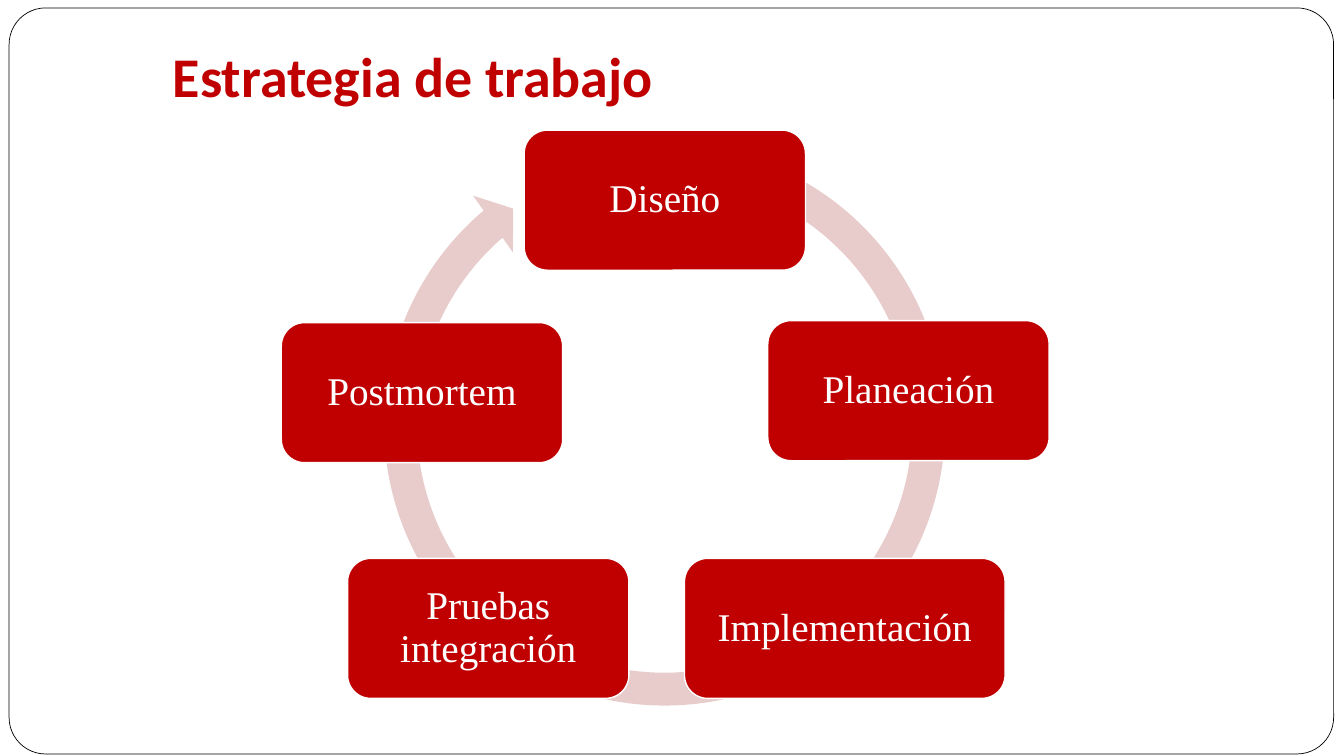
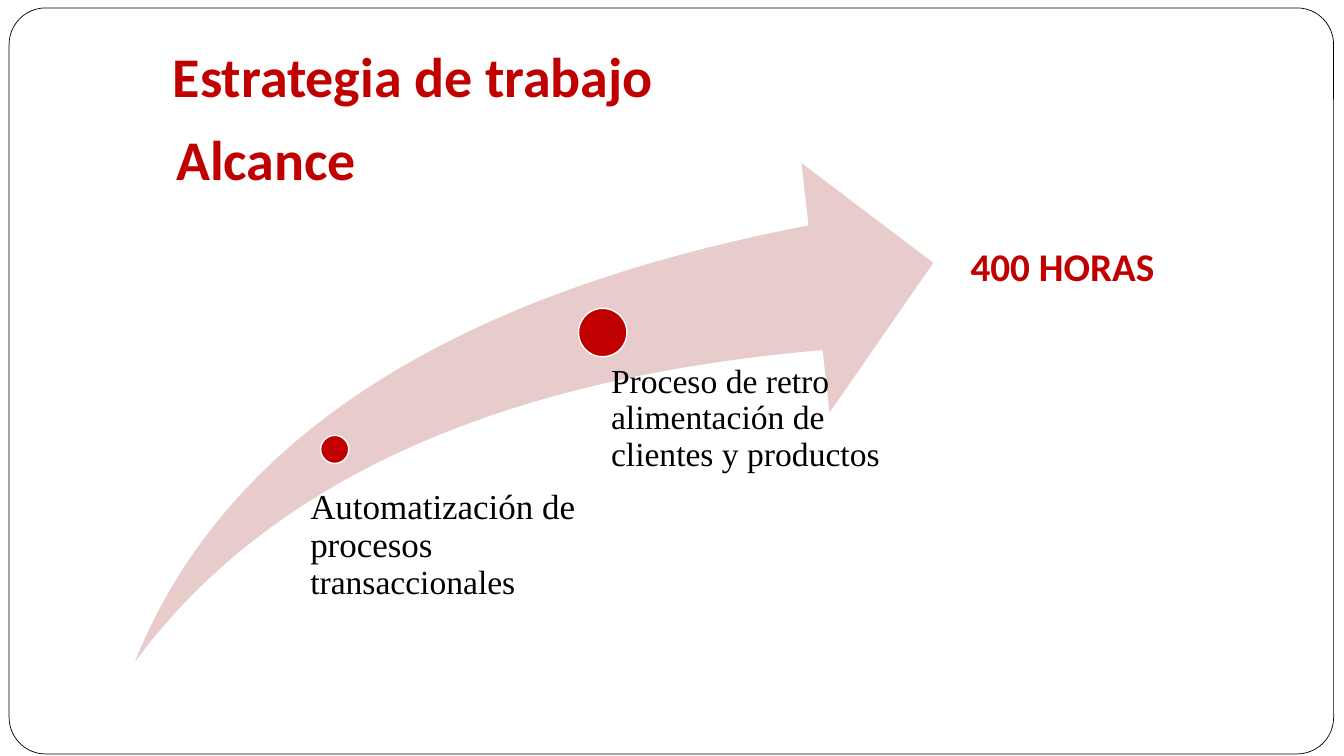
"""Builds two slides on the work strategy: its cycle of phases and its scope."""
from pptx import Presentation
from pptx.dml.color import RGBColor
from pptx.enum.shapes import MSO_SHAPE as Preset
from pptx.enum.text import MSO_ANCHOR as Anchor, PP_ALIGN as Align
from pptx.util import Cm, Pt

RED = RGBColor(0xC0, 0x00, 0x00)
PINK = RGBColor(0xE8, 0xCC, 0xCC)
WHITE = RGBColor(0xFF, 0xFF, 0xFF)
BLACK = RGBColor(0x00, 0x00, 0x00)
HEAD_FONT, BODY_FONT = "Calibri", "Times New Roman"

TITLE = "Estrategia de trabajo"
TITLE_AREA = (4.11, 0.28, 27.74, 2.72)
SUBTITLE = "Alcance"
SUBTITLE_AREA = (4.19, 0.2, 27.84, 4.88)
HOURS = "400 HORAS"
HOURS_AREA = (24.21, 5.97, 5.59, 1.45)
FRAME_AREA = (0.23, 0.2, 33.38, 18.8)

CYCLE_AREA = (9.22, 3.18, 15.06, 15.06)
CYCLE_ADJUST = (0.055, 3.307, 137.698, 173.897, 0.058)
PHASE_HEIGHT, PHASE_INSET = 3.53, 0.3
PHASES = [
    ("Diseño", 13.21, 3.28, 7.09),
    ("Planeación", 19.35, 8.08, 7.09),
    ("Implementación", 17.25, 14.07, 8.08),
    ("Pruebas integración", 8.76, 14.07, 7.09),
    ("Postmortem", 7.09, 8.13, 7.09),
]

SWOOSH_AREA = (3.4, 4.11, 20.12, 12.57)
SWOOSH_ADJUST = (0.25, 0.25)
MILESTONES = [
    {
        "dot": (8.08, 10.97, 0.71),
        "area": (7.44, 12.34, 8.53, 3.33),
        "inset": 0.38,
        "runs": [("Automatización de procesos ", 25), ("transaccionales", 24)],
    },
    {
        "dot": (14.58, 7.77, 1.22),
        "area": (14.76, 9.19, 8.4, 4.75),
        "inset": 0.64,
        "runs": [("Proceso de retro alimentación de clientes y productos", 24)],
    },
]


def add_preset(page, preset, area, fill, line=None, width=1, adjust=()):
    shape = page.shapes.add_shape(preset, *map(Cm, area))
    shape.shadow.inherit = False
    shape.fill.solid()
    shape.fill.fore_color.rgb = fill
    if line is None:
        shape.line.fill.background()
    else:
        shape.line.color.rgb = line
        shape.line.width = Pt(width)
    for index, value in enumerate(adjust):
        shape.adjustments[index] = value
    return shape


def write(shape, runs, font, color, insets, bold=False, anchor=Anchor.TOP,
          align=Align.LEFT, spacing=1.0):
    frame = shape.text_frame
    frame.word_wrap = True
    frame.vertical_anchor = anchor
    (frame.margin_left, frame.margin_top,
     frame.margin_right, frame.margin_bottom) = map(Cm, insets)
    para = frame.paragraphs[0]
    para.alignment = align
    para.line_spacing = spacing
    for text, size in runs:
        span = para.add_run()
        span.text = text
        span.font.name = font
        span.font.size = Pt(size)
        span.font.bold = bold
        span.font.color.rgb = color


def add_heading(page, text, area, size=40, anchor=Anchor.BOTTOM):
    box = page.shapes.add_textbox(*map(Cm, area))
    write(box, [(text, size)], HEAD_FONT, RED, (0.25, 0.13, 0.25, 0.25),
          bold=True, anchor=anchor)


def add_page(deck):
    page = deck.slides.add_slide(deck.slide_layouts[6])
    add_preset(page, Preset.ROUNDED_RECTANGLE, FRAME_AREA, WHITE, BLACK, 0.5, (0.049,))
    add_heading(page, TITLE, TITLE_AREA)
    return page


def build_cycle(deck):
    page = add_page(deck)
    add_preset(page, Preset.CIRCULAR_ARROW, CYCLE_AREA, PINK, adjust=CYCLE_ADJUST)
    for name, left, top, width in PHASES:
        phase = add_preset(page, Preset.ROUNDED_RECTANGLE,
                           (left, top, width, PHASE_HEIGHT), RED, WHITE)
        write(phase, [(name, 28)], BODY_FONT, WHITE, [PHASE_INSET] * 4,
              anchor=Anchor.MIDDLE, align=Align.CENTER, spacing=0.9)


def build_scope(deck):
    page = add_page(deck)
    add_heading(page, SUBTITLE, SUBTITLE_AREA)
    add_heading(page, HOURS, HOURS_AREA, 28, Anchor.TOP)
    add_preset(page, Preset.SWOOSH_ARROW, SWOOSH_AREA, PINK, adjust=SWOOSH_ADJUST)
    for milestone in MILESTONES:
        left, top, size = milestone["dot"]
        add_preset(page, Preset.OVAL, (left, top, size, size), RED, WHITE)
        box = page.shapes.add_textbox(*map(Cm, milestone["area"]))
        write(box, milestone["runs"], BODY_FONT, BLACK,
              (milestone["inset"], 0, 0, 0), spacing=0.9)


def main():
    deck = Presentation()
    deck.slide_width, deck.slide_height = Cm(33.87), Cm(19.05)
    build_cycle(deck)
    build_scope(deck)
    deck.save("out.pptx")


if __name__ == "__main__":
    main()
